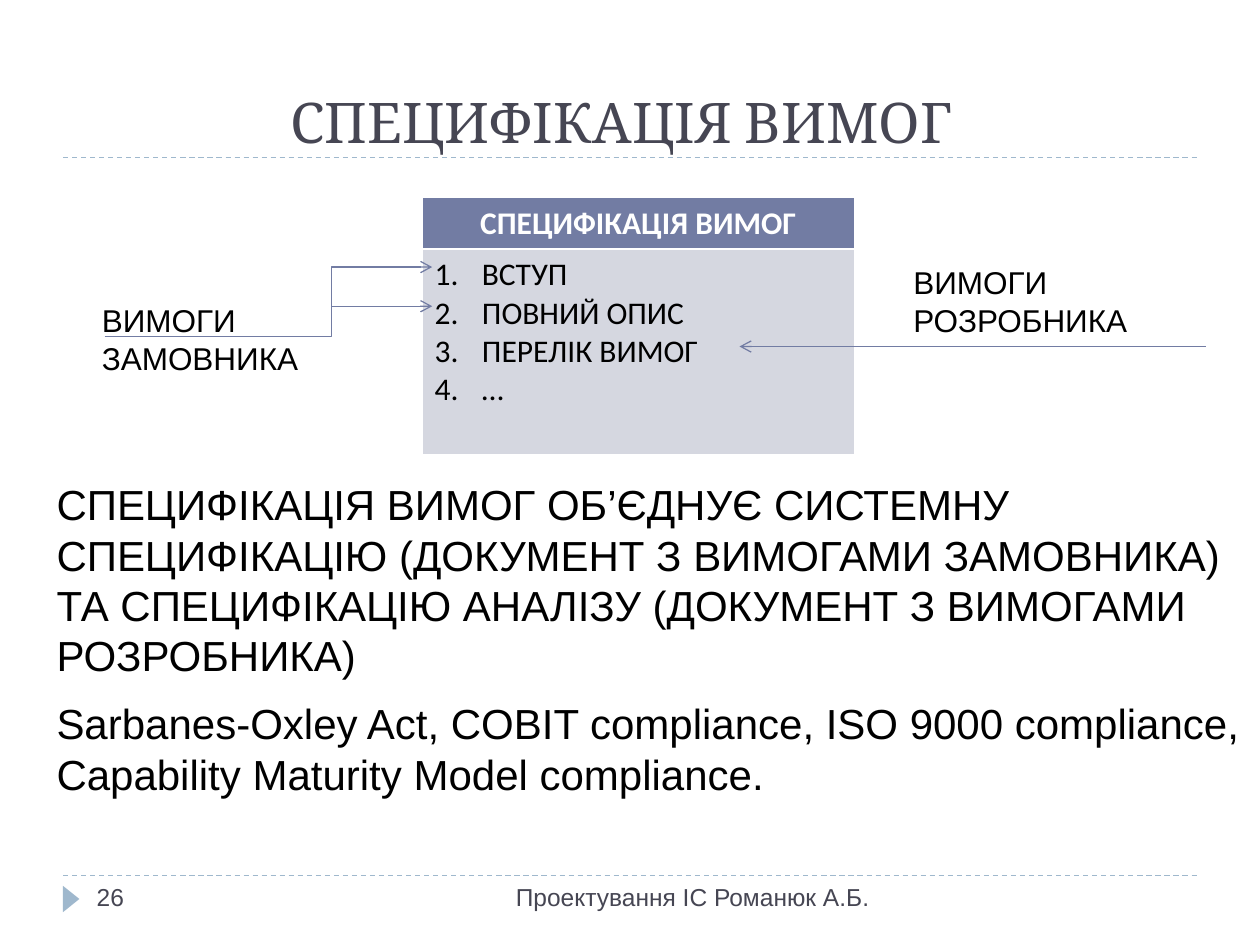
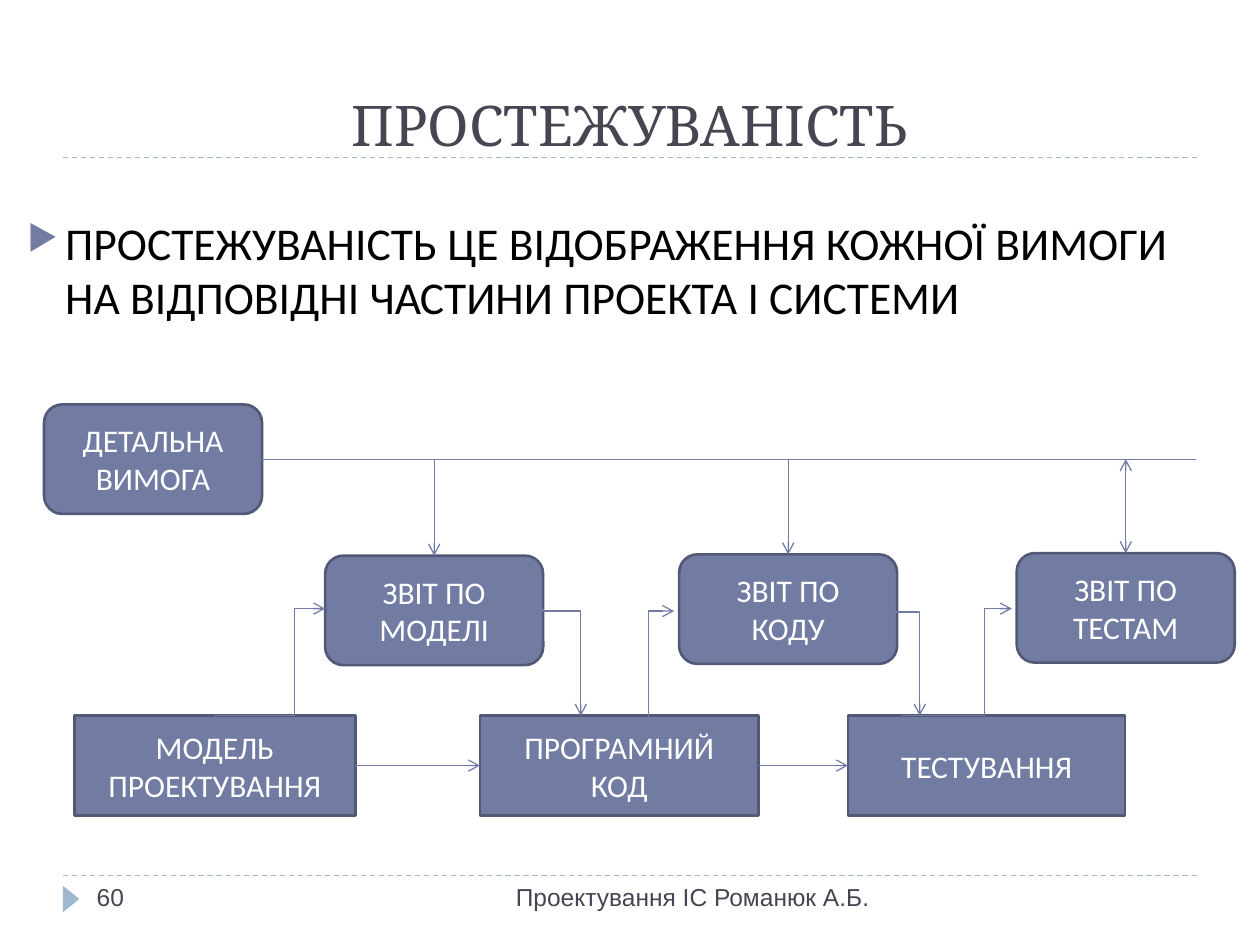
"""Builds two slides on requirements specification and traceability."""
import pptx
import pptx.dml.color
import pptx.enum.dml
import pptx.enum.shapes
import pptx.enum.text
import pptx.oxml.ns
import pptx.util
from lxml import etree

Pt = pptx.util.Pt
qn = pptx.oxml.ns.qn
SHAPE = pptx.enum.shapes.MSO_SHAPE
CONNECTOR = pptx.enum.shapes.MSO_CONNECTOR
ALIGN = pptx.enum.text.PP_ALIGN
ANCHOR = pptx.enum.text.MSO_ANCHOR
AUTO_SIZE = pptx.enum.text.MSO_AUTO_SIZE

COLORS = {"heading": "464653", "accent": "727CA3", "outline": "525977", "rule": "9FB8CD",
          "cell": "D5D7E0", "text": "000000", "white": "FFFFFF"}
TITLE = {"name": "Cambria", "size": 32, "color": "heading", "bold": False}
FOOTER = {"name": "Arial", "size": 14, "color": "heading"}
LABEL = {"name": "Arial", "size": 18, "color": "text"}
STATEMENT = {"name": "Arial", "size": 24, "color": "text"}
DEFINITION = {"name": "Calibri", "size": 26, "color": "text"}
NODE = {"name": "Calibri", "size": 18, "color": "white"}
TABLE_HEAD = {"name": "Calibri", "size": 18, "color": "white", "bold": True}
TABLE_BODY = {"name": "Calibri", "size": 18, "color": "text", "bold": False}

FOOTER_TEXT = "Проектування ІС Романюк А.Б."
SPEC_HEAD = "СПЕЦИФІКАЦІЯ ВИМОГ"
SPEC_ITEMS = ["ВСТУП", "ПОВНИЙ ОПИС", "ПЕРЕЛІК ВИМОГ", "…"]
SOURCES = [
    (["ВИМОГИ", "РОЗРОБНИКА"], (514.8, 146.9, 137.5, 50.4)),
    (["ВИМОГИ", "ЗАМОВНИКА"], (51.1, 168.5, 126.7, 50.4)),
]
SOURCE_ARROWS = [((689, 198), (422.6, 198)), ((190, 175), (247, 175)), ((190, 152.6), (247, 152.6))]
STATEMENTS = [
    ("СПЕЦИФІКАЦІЯ ВИМОГ ОБ’ЄДНУЄ СИСТЕМНУ СПЕЦИФІКАЦІЮ (ДОКУМЕНТ З ВИМОГАМИ ЗАМОВНИКА) "
     "ТА СПЕЦИФІКАЦІЮ АНАЛІЗУ (ДОКУМЕНТ З ВИМОГАМИ РОЗРОБНИКА)", (25.2, 270, 680.4, 122.4)),
    ("Sarbanes-Oxley Act, COBIT compliance, ISO 9000 compliance, "
     "Capability Maturity Model compliance.", (25.2, 395.3, 692.6, 64.8)),
]
TRACEABILITY = "ПРОСТЕЖУВАНІСТЬ ЦЕ ВІДОБРАЖЕННЯ КОЖНОЇ ВИМОГИ НА ВІДПОВІДНІ ЧАСТИНИ ПРОЕКТА І СИСТЕМИ"
STAGES = [("МОДЕЛЬ ПРОЕКТУВАННЯ", 42.5, 160.6), ("ПРОГРАМНИЙ КОД", 274.3, 159.1),
          ("ТЕСТУВАННЯ", 484.6, 158.4)]
STAGE_TOP, STAGE_HEIGHT = 409, 56.9
REPORTS = [("ЗВІТ ПО МОДЕЛІ", 185.8, 317.5), ("ЗВІТ ПО КОДУ", 388.1, 316.8),
           ("ЗВІТ ПО ТЕСТАМ", 581, 316.1)]
DETAIL = ("ДЕТАЛЬНА ВИМОГА", 25.2, 231.1)
ROUNDED_SIZE = (124.6, 62.6)
BUS_END = 683.3
RISES = [(122.4, 409, 0.721), (321.8, 410.4, 0.772), (514.8, 409, 0.755)]
RISE_SIZE = (63.4, 61.2)
DROPS = [(310.3, 347.8), (504, 348.5)]
DROP_WIDTH = 21.6


def points(values):
    return [Pt(value) for value in values]


def rgb(name):
    return pptx.dml.color.RGBColor.from_string(COLORS[name])


def add_child(parent, tag, **attributes):
    child = etree.SubElement(parent, qn(tag))
    for key, value in attributes.items():
        child.set(key, str(value))
    return child


def write(frame, texts, style, align=ALIGN.LEFT):
    for index, text in enumerate(texts):
        para = frame.add_paragraph() if index else frame.paragraphs[0]
        para.alignment = align
        span = para.add_run()
        span.text = text
        values = {**style, "size": Pt(style["size"])}
        span.font.color.rgb = rgb(values.pop("color"))
        for key, value in values.items():
            setattr(span.font, key, value)


def add_bullet(para, indent, color, tag, size=None, **attributes):
    properties = para._p.get_or_add_pPr()
    properties.set("marL", str(Pt(indent)))
    properties.set("indent", str(-Pt(indent)))
    add_child(add_child(properties, "a:buClr"), "a:srgbClr", val=COLORS[color])
    if size:
        add_child(properties, "a:buSzPct", val=size * 1000)
    add_child(properties, tag, **attributes)


def add_text(page, texts, box, style, align=ALIGN.LEFT, **settings):
    frame = page.shapes.add_textbox(*points(box)).text_frame
    for key, value in {"word_wrap": True, **settings}.items():
        setattr(frame, key, value)
    write(frame, texts, style, align)
    return frame


def add_line(page, start, end, kind=CONNECTOR.STRAIGHT, color="accent", head=False, tail=False,
             dash=None, bend=None):
    line = page.shapes.add_connector(kind, *points((*start, *end)))
    line.line.color.rgb = rgb(color)
    line.line.width = Pt(0.75)
    if dash:
        line.line.dash_style = dash
    properties = line._element.spPr
    outline = properties.find(qn("a:ln"))
    for tag, wanted in (("a:headEnd", head), ("a:tailEnd", tail)):
        if wanted:
            add_child(outline, tag, type="arrow")
    add_child(properties, "a:effectLst")
    if bend is not None:
        geometry = properties.find(qn("a:prstGeom"))
        guides = geometry.find(qn("a:avLst"))
        if guides is None:
            guides = add_child(geometry, "a:avLst")
        add_child(guides, "a:gd", name="adj1", fmla=f"val {round(bend * 100000)}")
    return line


def add_drop(page, start, end):
    across, down = end[0] - start[0], end[1] - start[1]
    middle_x, middle_y = (start[0] + end[0]) / 2, (start[1] + end[1]) / 2
    line = add_line(page, (middle_x + down / 2, middle_y - across / 2),
                    (middle_x - down / 2, middle_y + across / 2), CONNECTOR.ELBOW,
                    tail=True, bend=0.021)
    line._element.spPr.find(qn("a:xfrm")).set("rot", "16200000")


def add_shape(page, kind, box, fill, outline=None):
    shape = page.shapes.add_shape(kind, *points(box))
    shape.shadow.inherit = False
    shape.fill.solid()
    shape.fill.fore_color.rgb = rgb(fill)
    if outline:
        shape.line.color.rgb = rgb(outline)
        shape.line.width = Pt(1.5)
    else:
        shape.line.fill.background()
    return shape


def add_node(page, kind, text, box):
    node = add_shape(page, kind, box, "accent", "outline")
    node.text_frame.word_wrap = True
    node.text_frame.vertical_anchor = ANCHOR.MIDDLE
    write(node.text_frame, [text], NODE, ALIGN.CENTER)
    return node


def add_page(deck, title, title_box, number):
    page = deck.slides.add_slide(deck.slide_layouts[5])
    for y in (500.4, 90):
        add_line(page, (36, y), (684, y), color="rule", dash=pptx.enum.dml.MSO_LINE.DASH)
    add_shape(page, SHAPE.ISOSCELES_TRIANGLE, (33.1, 509, 15.1, 9.4), "rule").rotation = 90
    heading = page.shapes.title
    for key, value in zip(("left", "top", "width", "height"), points(title_box)):
        setattr(heading, key, value)
    frame = heading.text_frame
    for key, value in {"vertical_anchor": ANCHOR.BOTTOM, "margin_bottom": 0,
                       "auto_size": AUTO_SIZE.NONE, "word_wrap": True}.items():
        setattr(frame, key, value)
    write(frame, [title], TITLE, ALIGN.CENTER)
    add_text(page, [FOOTER_TEXT], (228.2, 500.4, 275.8, 28.8), FOOTER, ALIGN.RIGHT)
    add_text(page, [number], (48.2, 500.4, 156.2, 28.8), FOOTER)
    return page


def add_spec_table(page):
    table = page.shapes.add_table(2, 1, *points((241.2, 113, 247, 146.9))).table
    table.horz_banding = False
    rows = [(29.5, "accent", [SPEC_HEAD], TABLE_HEAD, ALIGN.CENTER, "a:lnB"),
            (117.4, "cell", SPEC_ITEMS, TABLE_BODY, ALIGN.LEFT, "a:lnT")]
    for index, (height, fill, texts, style, align, thick) in enumerate(rows):
        table.rows[index].height = Pt(height)
        cell = table.cell(index, 0)
        properties = cell._tc.get_or_add_tcPr()
        for side in ("a:lnL", "a:lnR", "a:lnT", "a:lnB"):
            border = add_child(properties, side, w=Pt(1.47 if side == thick else 0.45))
            add_child(add_child(border, "a:solidFill"), "a:srgbClr", val=COLORS["white"])
        cell.fill.solid()
        cell.fill.fore_color.rgb = rgb(fill)
        write(cell.text_frame, texts, style, align)
    for para in table.cell(1, 0).text_frame.paragraphs:
        add_bullet(para, 27, "text", "a:buAutoNum", type="arabicPeriod")


def build_specification(deck):
    page = add_page(deck, SPEC_HEAD, (31, 20.2, 648, 68.4), "26")
    add_spec_table(page)
    for start, end in SOURCE_ARROWS:
        add_line(page, start, end, tail=True)
    add_line(page, (59.8, 192.2), (190, 152.6), CONNECTOR.ELBOW, bend=0.995)
    for texts, box in SOURCES:
        add_text(page, texts, box, LABEL, word_wrap=False, auto_size=AUTO_SIZE.SHAPE_TO_FIT_TEXT)
    for text, box in STATEMENTS:
        add_text(page, [text], box, STATEMENT)


def build_traceability(deck):
    page = add_page(deck, "ПРОСТЕЖУВАНІСТЬ", (36, 12.2, 648, 77.8), "60")
    definition = add_text(page, [TRACEABILITY], (8.6, 116.6, 692, 380.2), DEFINITION,
                          margin_top=Pt(6))
    add_bullet(definition.paragraphs[0], 21.6, "accent", "a:buChar", size=76, char="▶")
    stages = [add_node(page, SHAPE.RECTANGLE, text, (left, STAGE_TOP, width, STAGE_HEIGHT))
              for text, left, width in STAGES]
    *reports, detail = [add_node(page, SHAPE.ROUNDED_RECTANGLE, text, (left, top, *ROUNDED_SIZE))
                        for text, left, top in REPORTS + [DETAIL]]
    bus_y = DETAIL[2] + ROUNDED_SIZE[1] / 2
    bus = add_line(page, (DETAIL[1] + ROUNDED_SIZE[0], bus_y), (BUS_END, bus_y))
    bus.begin_connect(detail, 3)
    for report, (text, left, top) in zip(reports, REPORTS):
        x = left + ROUNDED_SIZE[0] / 2
        branch = add_line(page, (x, bus_y), (x, top), head=report is reports[-1], tail=True)
        branch.end_connect(report, 0)
    for before, after in zip(stages, stages[1:]):
        step = add_line(page, (0, 0), (1, 1), tail=True)
        step.begin_connect(before, 3)
        step.end_connect(after, 1)
    for x, y, bend in RISES:
        add_line(page, (x, y), (x + RISE_SIZE[0], y - RISE_SIZE[1]), CONNECTOR.ELBOW,
                 tail=True, bend=bend)
    for x, y in DROPS:
        add_drop(page, (x, y), (x + DROP_WIDTH, STAGE_TOP))


def main():
    deck = pptx.Presentation()
    deck.slide_width, deck.slide_height = Pt(720), Pt(540)
    build_specification(deck)
    build_traceability(deck)
    deck.save("out.pptx")


if __name__ == "__main__":
    main()
